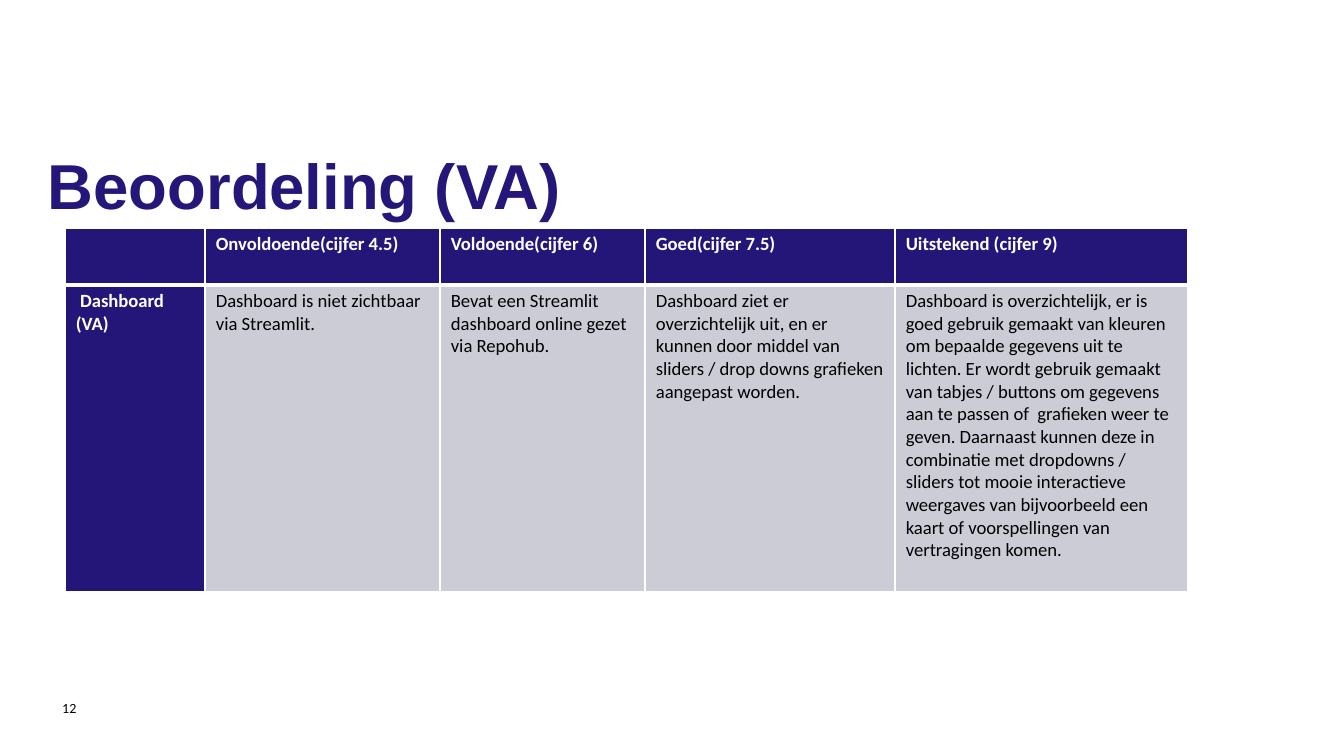
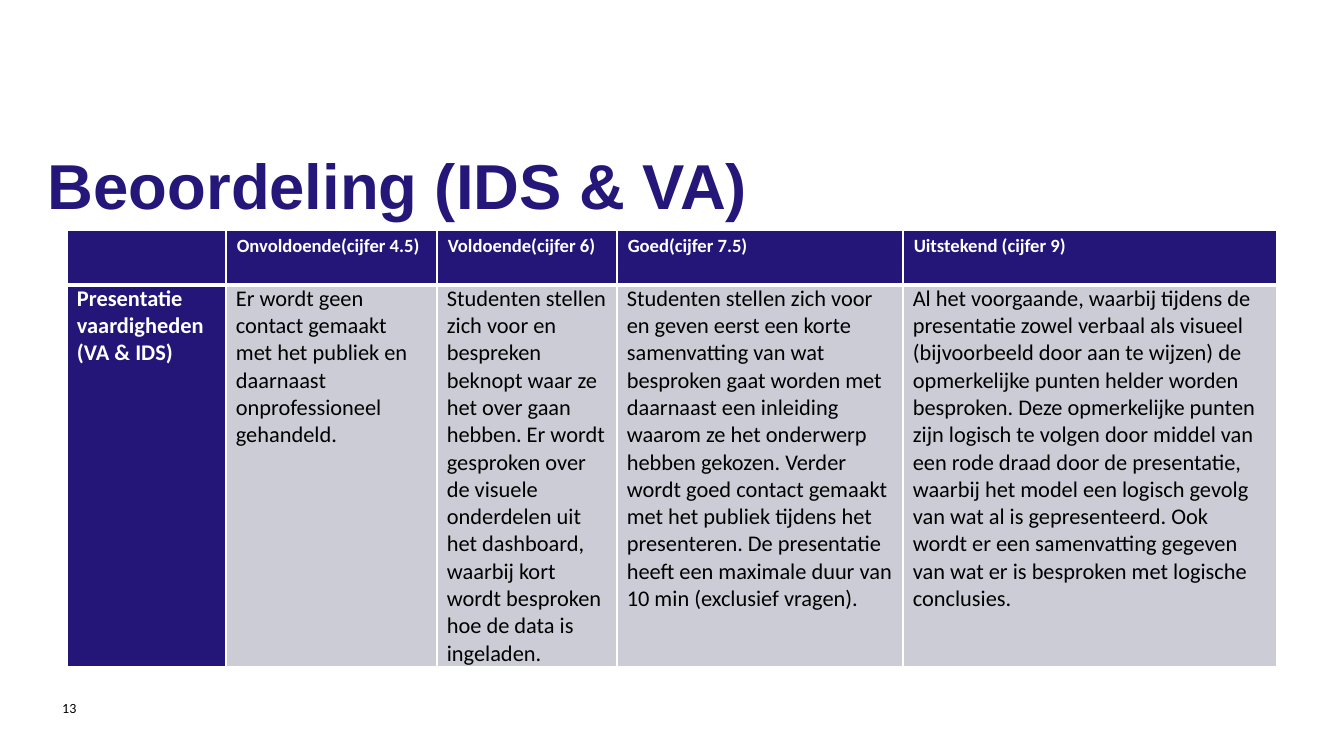
from lxml.etree import SubElement
from pptx import Presentation
from pptx.dml.color import RGBColor
from pptx.enum.text import MSO_ANCHOR, MSO_AUTO_SIZE, PP_ALIGN
from pptx.oxml.ns import qn
from pptx.util import Emu, Pt

PX = 914400 / 134.4
COLORS = {"title": "25167A", "header": "241679", "body": "CCCCD7",
          "line": "FFFFFF", "light": "FFFFFF", "dark": "000000"}
GRADES = ["Onvoldoende(cijfer 4.5)", "Voldoende(cijfer 6)",
          "Goed(cijfer 7.5)", "Uitstekend (cijfer 9)"]
RUBRICS = [
    {
        "title": "Beoordeling (VA)", "number": 12, "at": (65, 228),
        "columns": [140, 235, 205, 250, 293], "rows": [57, 307],
        "body_size": 10, "body_margins": (11, 5), "lines": (0.79, 2.37),
        "criterion": [
            " Dashboard (VA)",
            "Dashboard is niet zichtbaar via Streamlit.",
            "Bevat een Streamlit dashboard online gezet via Repohub.",
            "Dashboard ziet er overzichtelijk uit, en er kunnen door middel van "
            "sliders / drop downs grafieken aangepast worden.",
            "Dashboard is overzichtelijk, er is goed gebruik gemaakt van kleuren "
            "om bepaalde gegevens uit te lichten. Er wordt gebruik gemaakt van "
            "tabjes / buttons om gegevens aan te passen of  grafieken weer te "
            "geven. Daarnaast kunnen deze in combinatie met dropdowns / sliders "
            "tot mooie interactieve weergaves van bijvoorbeeld een kaart of "
            "voorspellingen van vertragingen komen.",
        ],
    },
    {
        "title": "Beoordeling (IDS & VA)", "number": 13, "at": (67, 230),
        "columns": [159, 211, 180, 286, 374], "rows": [55, 381],
        "body_size": 12, "body_margins": (10, 0), "lines": (1, 3),
        "criterion": [
            "Presentatie vaardigheden (VA & IDS)",
            "Er wordt geen contact gemaakt met het publiek en daarnaast "
            "onprofessioneel gehandeld.",
            "Studenten stellen zich voor en bespreken beknopt waar ze het over "
            "gaan hebben. Er wordt gesproken over de visuele onderdelen uit het "
            "dashboard, waarbij kort wordt besproken hoe de data is ingeladen.",
            "Studenten stellen zich voor en geven eerst een korte samenvatting "
            "van wat besproken gaat worden met daarnaast een inleiding waarom ze "
            "het onderwerp hebben gekozen. Verder wordt goed contact gemaakt met "
            "het publiek tijdens het presenteren. De presentatie heeft een "
            "maximale duur van 10 min (exclusief vragen).",
            "Al het voorgaande, waarbij tijdens de presentatie zowel verbaal als "
            "visueel (bijvoorbeeld door aan te wijzen) de opmerkelijke punten "
            "helder worden besproken. Deze opmerkelijke punten zijn logisch te "
            "volgen door middel van een rode draad door de presentatie, waarbij "
            "het model een logisch gevolg van wat al is gepresenteerd. Ook wordt "
            "er een samenvatting gegeven van wat er is besproken met logische "
            "conclusies.",
        ],
    },
]


def px(length):
    return Emu(round(length * PX))


def set_font(paragraph, name, size, color, bold=False):
    paragraph.font.name = name
    paragraph.font.size = Pt(size)
    paragraph.font.bold = bold
    paragraph.font.color.rgb = RGBColor.from_string(COLORS[color])


presentation = Presentation()
presentation.slide_width, presentation.slide_height = px(1344), px(756)

for rubric in RUBRICS:
    slide = presentation.slides.add_slide(presentation.slide_layouts[5])

    title = slide.shapes.title
    title.left, title.top, title.width, title.height = map(px, (48, 146, 1249, 163))
    frame = title.text_frame
    frame.text = rubric["title"]
    frame.auto_size = MSO_AUTO_SIZE.NONE
    frame.vertical_anchor = MSO_ANCHOR.TOP
    frame.margin_left = frame.margin_right = frame.margin_top = frame.margin_bottom = 0
    frame.paragraphs[0].alignment = PP_ALIGN.LEFT
    set_font(frame.paragraphs[0], "Arial", 34, "title", bold=True)

    columns, rows = rubric["columns"], rubric["rows"]
    left, top = rubric["at"]
    table = slide.shapes.add_table(len(rows), len(columns), px(left), px(top),
                                   px(sum(columns)), px(sum(rows))).table
    table.horz_banding = False
    table.first_col = True
    for column, width in zip(table.columns, columns):
        column.width = px(width)
    for row, height in zip(table.rows, rows):
        row.height = px(height)

    thin, thick = rubric["lines"]
    for row_index, texts in enumerate([[""] + GRADES, rubric["criterion"]]):
        is_header = row_index == 0
        size = 10 if is_header else rubric["body_size"]
        margin_x, margin_y = (11, 5) if is_header else rubric["body_margins"]
        thick_edge = "lnB" if is_header else "lnT"
        for column_index, text in enumerate(texts):
            cell = table.cell(row_index, column_index)
            is_dark = is_header or column_index == 0
            cell.text = text
            cell.margin_left = cell.margin_right = px(margin_x)
            cell.margin_top = cell.margin_bottom = px(margin_y)
            set_font(cell.text_frame.paragraphs[0], "Calibri", size,
                     "light" if is_dark else "dark", bold=is_dark)
            properties = cell._tc.get_or_add_tcPr()
            for edge in ("lnL", "lnR", "lnT", "lnB"):
                width = Pt(thick if edge == thick_edge else thin)
                line = SubElement(properties, qn(f"a:{edge}"), w=str(width))
                fill = SubElement(line, qn("a:solidFill"))
                SubElement(fill, qn("a:srgbClr"), val=COLORS["line"])
            cell.fill.solid()
            cell.fill.fore_color.rgb = RGBColor.from_string(
                COLORS["header" if is_dark else "body"])

    number = slide.shapes.add_textbox(*map(px, (49, 688, 52, 40)))
    number.text_frame.text = str(rubric["number"])
    number.text_frame.word_wrap = True
    number.text_frame.vertical_anchor = MSO_ANCHOR.MIDDLE
    set_font(number.text_frame.paragraphs[0], "Calibri", 7.5, "dark")

presentation.save("out.pptx")
